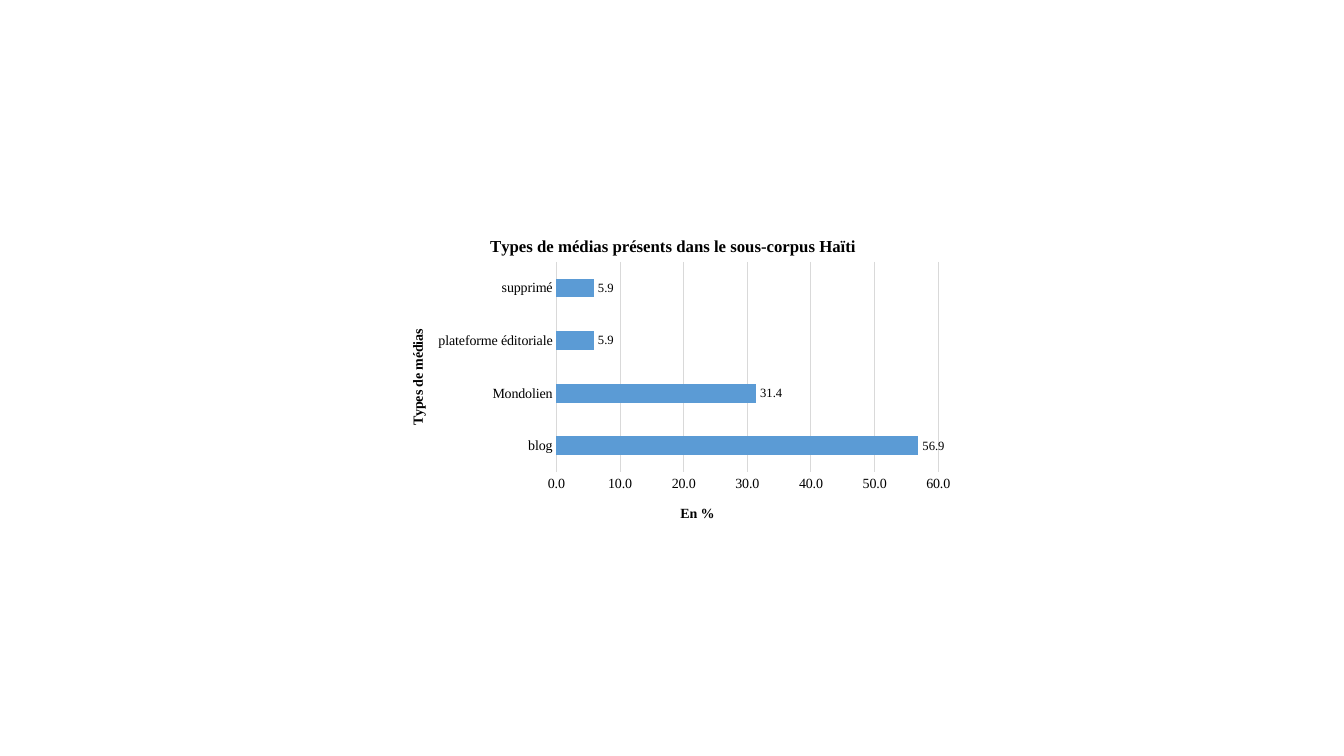
"""Build a slide with a bar chart of media types in the Haiti sub-corpus."""
from lxml.etree import SubElement
from pptx import Presentation
from pptx.chart.data import CategoryChartData
from pptx.dml.color import RGBColor
from pptx.enum.chart import XL_CHART_TYPE as ChartType
from pptx.enum.chart import XL_LABEL_POSITION as LabelPosition
from pptx.enum.chart import XL_TICK_MARK as TickMark
from pptx.oxml.ns import qn
from pptx.util import Cm, Pt

BLACK = RGBColor(0x00, 0x00, 0x00)
BLUE = RGBColor(0x5B, 0x9B, 0xD5)
GREY = RGBColor(0xD9, 0xD9, 0xD9)
SERIF = "Times New Roman"


def style_font(font, size, bold=False):
    font.name = SERIF
    font.size = Pt(size)
    font.bold = bold
    font.color.rgb = BLACK


def place(parent, index, **position):
    for old_layout in parent.findall(qn("c:layout")):
        parent.remove(old_layout)
    layout = SubElement(parent, qn("c:layout"))
    manual = SubElement(layout, qn("c:manualLayout"))
    if "w" in position:
        SubElement(manual, qn("c:layoutTarget"), val="inner")
    for mode in ("xMode", "yMode"):
        SubElement(manual, qn(f"c:{mode}"), val="edge")
    for key, value in position.items():
        SubElement(manual, qn(f"c:{key}"), val=str(value))
    parent.insert(index, layout)


deck = Presentation()
deck.slide_width, deck.slide_height = Cm(33.87), Cm(19.05)
slide = deck.slides.add_slide(deck.slide_layouts[6])

media = CategoryChartData(number_format="0.0")
media.categories = ["blog", "Mondolien", "plateforme éditoriale", "supprimé"]
media.add_series("Series 1", (56.9, 31.4, 5.9, 5.9))
chart = slide.shapes.add_chart(
    ChartType.BAR_CLUSTERED, Cm(9.65), Cm(5.46), Cm(14.58), Cm(8.15), media
).chart
chart.has_legend = False
chart.font.name = "Roboto"
chart.font.size = Pt(10)
chart.font.color.rgb = BLACK

media_axis, percent_axis = chart.category_axis, chart.value_axis
for axis in (media_axis, percent_axis):
    axis.major_tick_mark = axis.minor_tick_mark = TickMark.NONE
    style_font(axis.tick_labels.font, 10)
media_axis.format.line.color.rgb = GREY
media_axis.format.line.width = Pt(0.75)
percent_axis.minimum_scale, percent_axis.maximum_scale = 0, 60
percent_axis.major_unit = 10
percent_axis.format.line.fill.background()
percent_axis.tick_labels.number_format = "0.0"
percent_axis.tick_labels.number_format_is_linked = False
percent_axis.has_major_gridlines = True
percent_axis.major_gridlines.format.line.color.rgb = GREY
percent_axis.major_gridlines.format.line.width = Pt(0.75)

for title, wording, size, x, y in (
    (chart.chart_title, "Types de médias présents dans le sous-corpus Haïti", 12, 0.18, 0.05),
    (media_axis.axis_title, "Types de médias", 10, 0.04, 0.34),
    (percent_axis.axis_title, "En %", 10, 0.51, 0.88),
):
    title.text_frame.text = wording
    style_font(title.text_frame.paragraphs[0].runs[0].font, size, bold=True)
    place(title.element, 1, x=x, y=y)
media_title_body = media_axis.axis_title.text_frame._txBody.find(qn("a:bodyPr"))
media_title_body.set("rot", "-5400000")
media_title_body.set("vert", "horz")
plot_area = chart.element.find(qn("c:chart")).find(qn("c:plotArea"))
place(plot_area, 0, x=0.3, y=0.14, w=0.66, h=0.65)

plot = chart.plots[0]
plot.gap_width = 182
plot.vary_by_categories = False
bars = plot.series[0]
bars.format.fill.solid()
bars.format.fill.fore_color.rgb = BLUE
labels = bars.data_labels
labels.show_value = True
labels.position = LabelPosition.OUTSIDE_END
labels.number_format = "0.0"
labels.number_format_is_linked = False
style_font(labels.font, 9)

deck.save("out.pptx")
